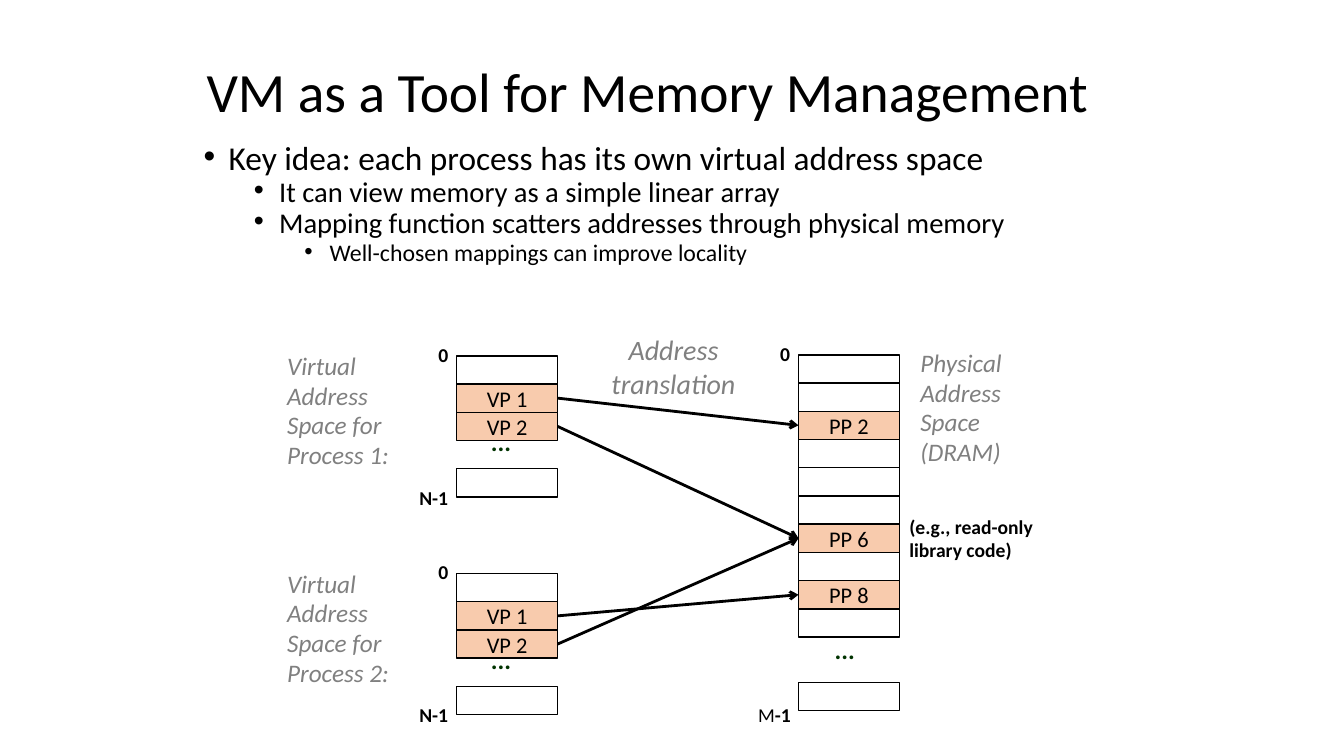
import pptx
import pptx.dml.color
import pptx.enum.shapes
import pptx.enum.text
import pptx.oxml.ns
import pptx.util
from lxml import etree
from pptx.util import Inches

BLACK = pptx.dml.color.RGBColor(0x00, 0x00, 0x00)
GREY = pptx.dml.color.RGBColor(0x80, 0x80, 0x80)
GREEN = pptx.dml.color.RGBColor(0x00, 0x33, 0x00)
PEACH = pptx.dml.color.RGBColor(0xF8, 0xCB, 0xAD)

FACE = "Calibri"
ROW = 0.28
WIDE = 1
LEFT = 4.53
RIGHT = 7.92
CENTER = pptx.enum.text.PP_ALIGN.CENTER
MIDDLE = pptx.enum.text.MSO_ANCHOR.MIDDLE

IDEAS = [
    (0, 23.8, "Key idea: each process has its own virtual address space"),
    (1, 20.4, "It can view memory as a simple linear array"),
    (1, 20.4, "Mapping function scatters addresses through physical memory"),
    (2, 17, "Well-chosen mappings can improve locality"),
]


def add_tag(parent, name, **attrs):
    return etree.SubElement(parent, pptx.oxml.ns.qn(name), attrs)


def set_font(para, size, color=BLACK, bold=False, italic=False):
    font = para.font
    font.name = FACE
    font.size = pptx.util.Pt(size)
    font.color.rgb = color
    font.bold = bold
    font.italic = italic


def add_text(slide, box, lines, size, color=BLACK, bold=False, italic=False,
             space=0.98, wrap=True, align=None):
    frame = slide.shapes.add_textbox(*map(Inches, box)).text_frame
    frame.word_wrap = wrap
    frame.auto_size = pptx.enum.text.MSO_AUTO_SIZE.SHAPE_TO_FIT_TEXT
    frame.text = "\n".join(lines)
    for para in frame.paragraphs:
        para.line_spacing = space
        para.alignment = align
        set_font(para, size, color, bold, italic)
    return frame


def add_title(slide, text):
    frame = add_text(slide, (1.95, 0.62, 9.42, 0.63), [text], 39.6, space=0.9)
    frame.auto_size = pptx.enum.text.MSO_AUTO_SIZE.NONE
    frame.vertical_anchor = MIDDLE


def add_list(slide, box, items):
    frame = slide.shapes.add_textbox(*map(Inches, box)).text_frame
    frame.word_wrap = True
    for spot, (level, size, text) in enumerate(items):
        para = frame.add_paragraph() if spot else frame.paragraphs[0]
        para.text = text
        para.level = level
        para.line_spacing = 0.7
        para.space_before = pptx.util.Pt(5 if spot else 0)
        props = para._p.get_or_add_pPr()
        props.set("marL", str(Inches(0.25 + 0.5 * level)))
        props.set("indent", str(Inches(-0.25)))
        add_tag(props, "a:buFont", typeface="Arial")
        add_tag(props, "a:buChar", char="•")
        set_font(para, size)


def add_cell(slide, left, top, text):
    cell = slide.shapes.add_shape(
        pptx.enum.shapes.MSO_SHAPE.RECTANGLE,
        Inches(left), Inches(top), Inches(WIDE), Inches(ROW))
    cell.shadow.inherit = False
    cell.line.color.rgb = BLACK
    cell.line.width = pptx.util.Pt(1)
    if not text:
        cell.fill.background()
        return cell
    cell.fill.solid()
    cell.fill.fore_color.rgb = PEACH
    frame = cell.text_frame
    frame.text = text
    frame.vertical_anchor = MIDDLE
    frame.margin_top = frame.margin_bottom = 0
    para = frame.paragraphs[0]
    para.alignment = CENTER
    set_font(para, 16)
    return cell


def add_stack(slide, left, top, count, names, last):
    cells = [add_cell(slide, left, top + ROW * slot, names.get(slot))
             for slot in range(count)]
    add_cell(slide, left, last, None)
    add_text(slide, (left - 0.28, top - 0.17, 0.31, 0.33), ["0"], 14,
             bold=True, wrap=False)
    return cells


def add_dots(slide, left, top):
    add_text(slide, (left, top, 0.4, 0.36), ["..."], 18, GREEN, bold=True,
             space=0.88, wrap=False)


def add_space(slide, number, top):
    add_text(slide, (2.75, top - 0.09, 1.5, 1.28),
             [f"Virtual Address Space for Process {number}:"], 18, GREY,
             italic=True)
    cells = add_stack(slide, LEFT, top, 3, {1: "VP 1", 2: "VP 2"},
                      top + 4 * ROW)
    add_dots(slide, LEFT + 0.24, top + 0.69)
    add_text(slide, (LEFT - 0.47, top + 1.25, 0.49, 0.33), ["N-1"], 14,
             bold=True, wrap=False)
    return cells


def add_memory(slide):
    cells = add_stack(slide, RIGHT, 3.52, 10,
                      {2: "PP 2", 6: "PP 6", 8: "PP 8"}, 6.77)
    add_dots(slide, RIGHT + 0.26, 6.28)
    frame = add_text(slide, (7.42, 6.94, 0.53, 0.33), ["M"], 14, wrap=False)
    tail = frame.paragraphs[0].add_run()
    tail.text = "-1"
    tail.font.bold = True
    add_text(slide, (9.03, 3.41, 1.17, 1.29),
             ["Physical", "Address", "Space (DRAM)"], 18, GREY, italic=True)
    add_text(slide, (8.92, 5.07, 1.59, 0.56),
             ["(e.g., read-only", "library code)"], 14, bold=True)
    return cells


def add_arrow(slide, start, end):
    arrow = slide.shapes.add_connector(
        pptx.enum.shapes.MSO_CONNECTOR.STRAIGHT, 0, 0, 0, 0)
    arrow.begin_connect(start, 3)
    arrow.end_connect(end, 1)
    arrow.line.color.rgb = BLACK
    arrow.line.width = pptx.util.Pt(2)
    add_tag(arrow.line._get_or_add_ln(), "a:tailEnd", type="arrow")
    add_tag(arrow._element.spPr, "a:effectLst")


def main():
    deck = pptx.Presentation()
    deck.slide_width = Inches(13.33)
    deck.slide_height = Inches(7.5)
    slide = deck.slides.add_slide(deck.slide_layouts[6])
    add_title(slide, "VM as a Tool for Memory Management")
    add_list(slide, (1.92, 1.42, 8.59, 1.38), IDEAS)
    first = add_space(slide, 1, 3.53)
    second = add_space(slide, 2, 5.69)
    pages = add_memory(slide)
    for start, end in [(first[1], pages[2]), (first[2], pages[6]),
                       (second[2], pages[6]), (second[1], pages[8])]:
        add_arrow(slide, start, end)
    add_text(slide, (5.94, 3.25, 1.48, 0.77), ["Address", "translation"], 20,
             GREY, italic=True, space=1, wrap=False, align=CENTER)
    deck.save("out.pptx")


if __name__ == "__main__":
    main()
